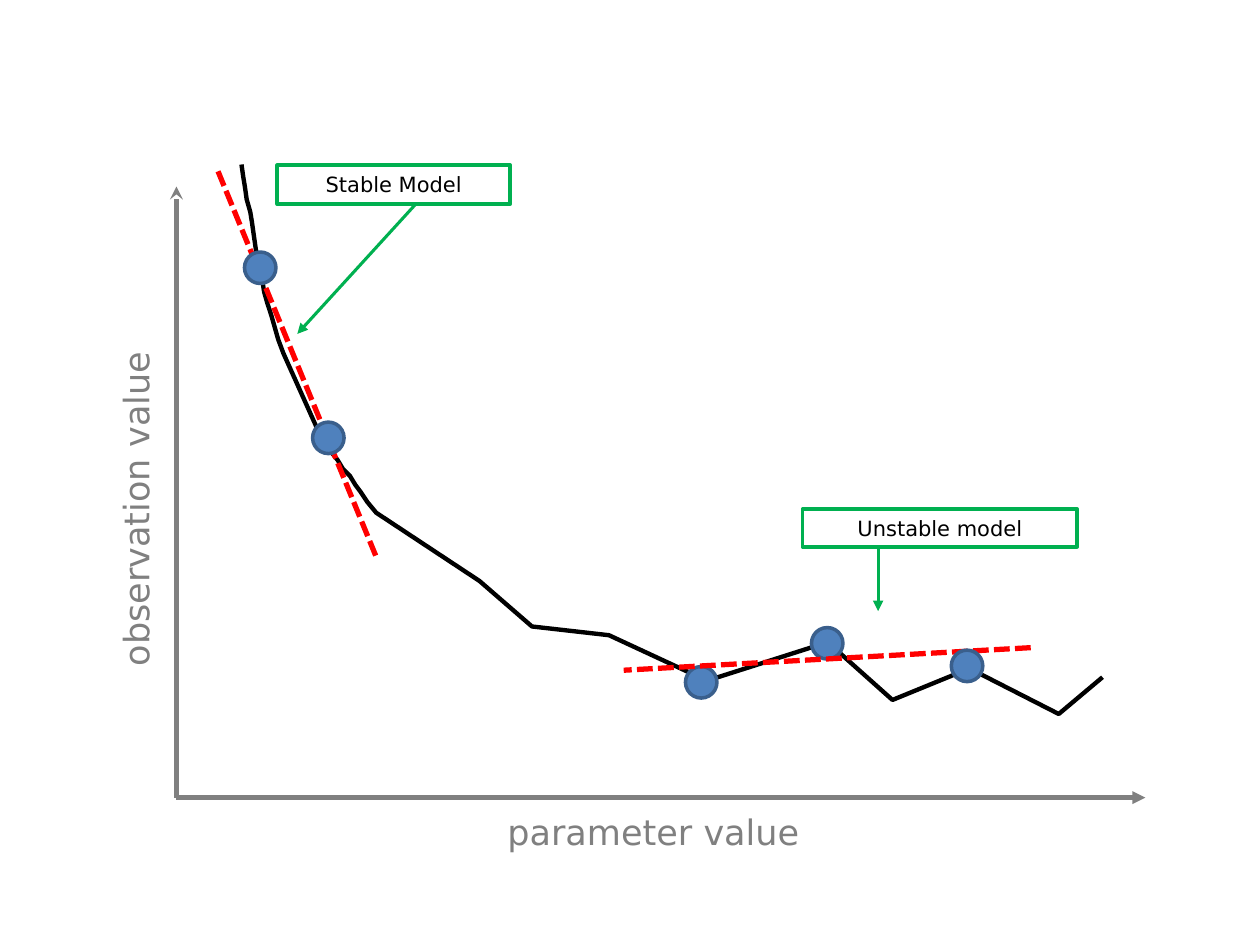
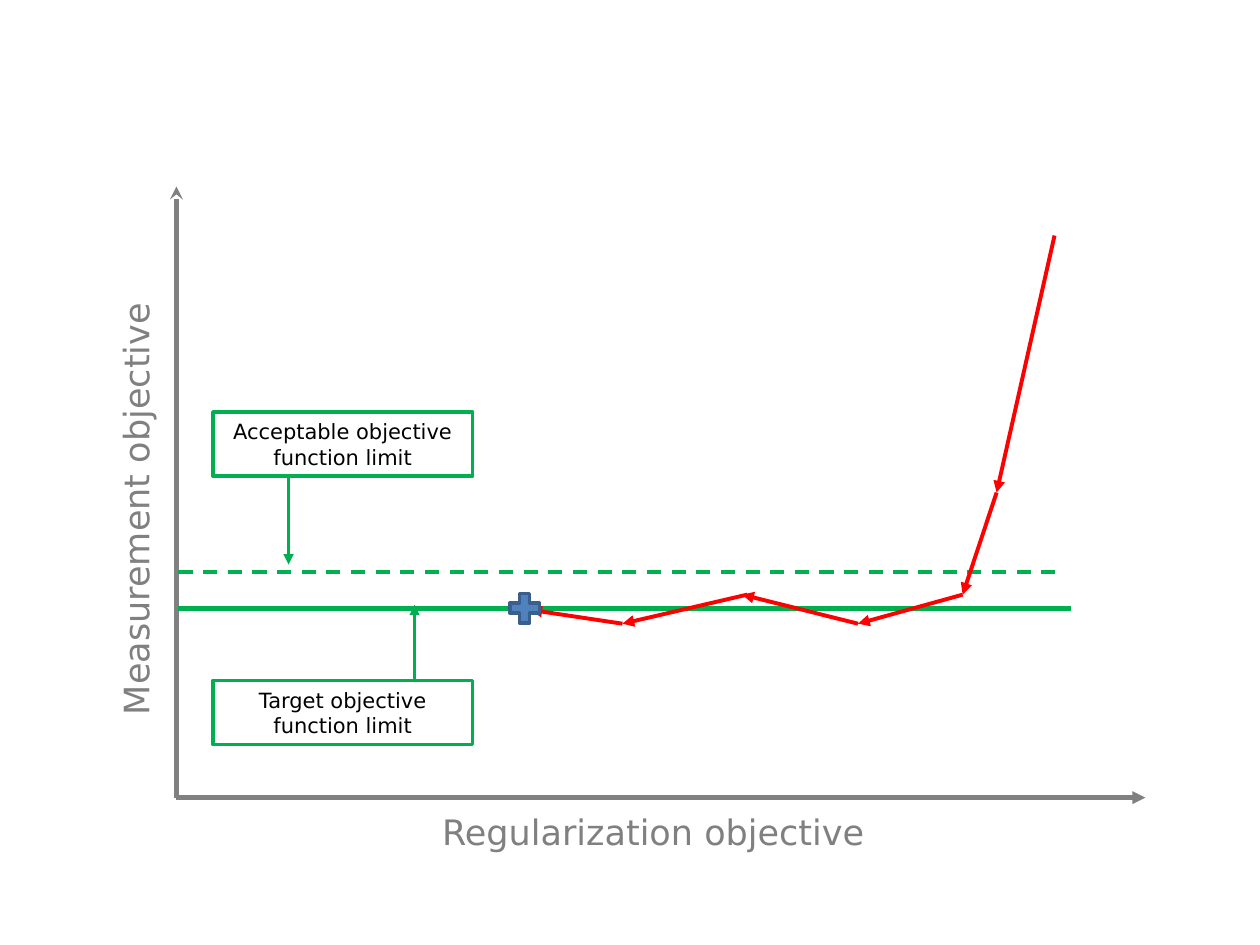
import pptx
import pptx.util
import pptx.dml.color
import pptx.enum.dml
import pptx.enum.shapes
import pptx.enum.text
import pptx.oxml.ns
import lxml.etree

Pt = pptx.util.Pt
RGBColor = pptx.dml.color.RGBColor
MSO_SHAPE = pptx.enum.shapes.MSO_SHAPE
DASH = pptx.enum.dml.MSO_LINE

BLACK = RGBColor(0x00, 0x00, 0x00)
WHITE = RGBColor(0xFF, 0xFF, 0xFF)
GRAY = RGBColor(0x80, 0x80, 0x80)
GREEN = RGBColor(0x00, 0xB0, 0x50)
RED = RGBColor(0xFF, 0x00, 0x00)
BLUE = RGBColor(0x4F, 0x81, 0xBD)
DARK_BLUE = RGBColor(0x3A, 0x5F, 0x8C)
FONT = "DejaVu Sans"

ORIGIN = (100.8, 455.8)


def add_line(shapes, start, end, color, width, arrow=None, dash=None):
    """Draw a straight line, with an optional arrowhead at its end."""
    line = shapes.add_connector(pptx.enum.shapes.MSO_CONNECTOR.STRAIGHT,
                                Pt(start[0]), Pt(start[1]), Pt(end[0]), Pt(end[1]))
    line.line.color.rgb = color
    line.line.width = Pt(width)
    if dash:
        line.line.dash_style = dash
    if arrow:
        tail = lxml.etree.SubElement(line.line._get_or_add_ln(),
                                     pptx.oxml.ns.qn("a:tailEnd"))
        tail.set("type", arrow)
    lxml.etree.SubElement(line._element.spPr, pptx.oxml.ns.qn("a:effectLst"))


def add_figure(shapes, kind, box, fill, outline=None, text="", size=12, color=BLACK):
    """Draw a filled preset shape, with an optional outline and centred text."""
    shape = shapes.add_shape(kind, *[Pt(length) for length in box])
    shape.shadow.inherit = False
    shape.fill.solid()
    shape.fill.fore_color.rgb = fill
    if outline:
        shape.line.color.rgb = outline
        shape.line.width = Pt(2)
    else:
        shape.line.fill.background()
    if text:
        frame = shape.text_frame
        frame.text = text
        frame.word_wrap = True
        frame.auto_size = pptx.enum.text.MSO_AUTO_SIZE.SHAPE_TO_FIT_TEXT
        paragraph = frame.paragraphs[0]
        paragraph.alignment = pptx.enum.text.PP_ALIGN.CENTER
        font = paragraph.runs[0].font
        font.name = FONT
        font.size = Pt(size)
        font.color.rgb = color
    return shape


presentation = pptx.Presentation()
presentation.slide_width = Pt(720)
presentation.slide_height = Pt(540)

# Both slides share the axes and the style of the axis names
chart_shapes = []
for x_name, y_name in [("parameter value", "observation value"),
                       ("Regularization objective", "Measurement objective")]:
    slide = presentation.slides.add_slide(presentation.slide_layouts[6])
    shapes = slide.shapes
    add_figure(shapes, MSO_SHAPE.RECTANGLE, (218.2, 459.4, 310.3, 31.7), WHITE,
               text=x_name, size=20, color=GRAY)
    y_label = add_figure(shapes, MSO_SHAPE.RECTANGLE, (-77.8, 275, 310.3, 31.7), WHITE,
                         text=y_name, size=20, color=GRAY)
    y_label.rotation = 270
    add_line(shapes, ORIGIN, (ORIGIN[0], 106.6), GRAY, 2.5, "stealth")
    add_line(shapes, ORIGIN, (654.5, ORIGIN[1]), GRAY, 2.5, "triangle")
    chart_shapes.append(shapes)
stability, objective = chart_shapes

# Slide 1: stable and unstable models along the observation curve
for box, text in [((158.4, 94.3, 133.2, 22.3), "Stable Model"),
                  ((458.6, 290.9, 157, 21.6), "Unstable model")]:
    add_figure(stability, MSO_SHAPE.RECTANGLE, box, WHITE, GREEN, text)

# A step of one point is a straight segment, a step of three is a Bezier curve
curve_start = (138.2, 94.3)
curve_steps = [
    [(141.1, 111.6), (144, 129.6), (146.9, 147.6)],
    [(151.2, 165.6), (153.4, 180.7), (162, 202.3)],
    [(184.3, 251.3)],
    [(198, 269.3), (200.9, 275), (215.3, 293)],
    [(273.6, 331.9)], [(303.8, 357.8)], [(347.8, 362.9)], [(403.9, 388.8)],
    [(473, 367.2)], [(509.8, 400.3)], [(554.4, 381.6)], [(604.8, 408.2)],
    [(630, 387.4)],
]
curve_points = [curve_start]
for step in curve_steps:
    if len(step) == 1:
        curve_points += step
        continue
    corners = [curve_points[-1]] + step
    for part in range(1, 9):
        t = part / 8
        weights = [(1 - t) ** 3, 3 * t * (1 - t) ** 2, 3 * t ** 2 * (1 - t), t ** 3]
        curve_points.append(tuple(
            sum(weight * corner[axis] for weight, corner in zip(weights, corners))
            for axis in (0, 1)))
builder = stability.build_freeform(*curve_start, scale=Pt(1))
builder.add_line_segments(curve_points[1:], close=False)
curve = builder.convert_to_shape()
curve.shadow.inherit = False
curve.fill.background()
curve.line.color.rgb = BLACK
curve.line.width = Pt(2.5)

# The unstable trend passes over its first two observations and under the last
stable_trend = ((124.6, 97.9), (215.3, 319))
unstable_trend = ((589, 370.1), (356.4, 383))
for trend, observations in [
        (stable_trend, [(148.7, 153), (187.6, 250.2), (400.7, 389.9), (472.7, 367.6)]),
        (unstable_trend, [(552.6, 380.5)])]:
    add_line(stability, *trend, RED, 3, dash=DASH.SQUARE_DOT)
    for x, y in observations:
        add_figure(stability, MSO_SHAPE.OVAL, (x - 9, y - 9, 18, 18), BLUE, DARK_BLUE)

add_line(stability, (237.6, 116.6), (169.9, 190.8), GREEN, 1.75, "triangle")
add_line(stability, (501.8, 313.2), (501.8, 349.2), GREEN, 1.75, "triangle")

# Slide 2: the search steps down to the target limit
add_line(objective, (102, 347.8), (612, 347.8), GREEN, 2.5)
add_line(objective, (102, 326.9), (604, 326.9), GREEN, 2, dash=DASH.DASH)

search_steps = objective.add_group_shape().shapes
for start, end in [((602.6, 134.6), (569.5, 281.5)), ((569.5, 281.5), (550.1, 339.8)),
                   ((550.1, 339.8), (490.3, 356.4)), ((490.3, 356.4), (424.1, 339.8)),
                   ((427, 339.8), (355.7, 356.4)), ((355.7, 356.4), (303.1, 348.5))]:
    add_line(search_steps, start, end, RED, 2.25, "triangle")

for text, top, x, start, end in [
        ("Target objective function limit", 388.8, 236.9, 390.2, 345.6),
        ("Acceptable objective function limit", 235.4, 164.9, 245.5, 322.6)]:
    add_line(objective, (x, start), (x, end), GREEN, 1.75, "triangle")
    add_figure(objective, MSO_SHAPE.RECTANGLE, (121.7, top, 148.3, 36.7),
               WHITE, GREEN, text)

optimum = add_figure(objective, MSO_SHAPE.CROSS, (291.4, 339.1, 16.8, 16.8), BLUE, DARK_BLUE)
optimum.adjustments[0] = 0.33

presentation.save("out.pptx")
